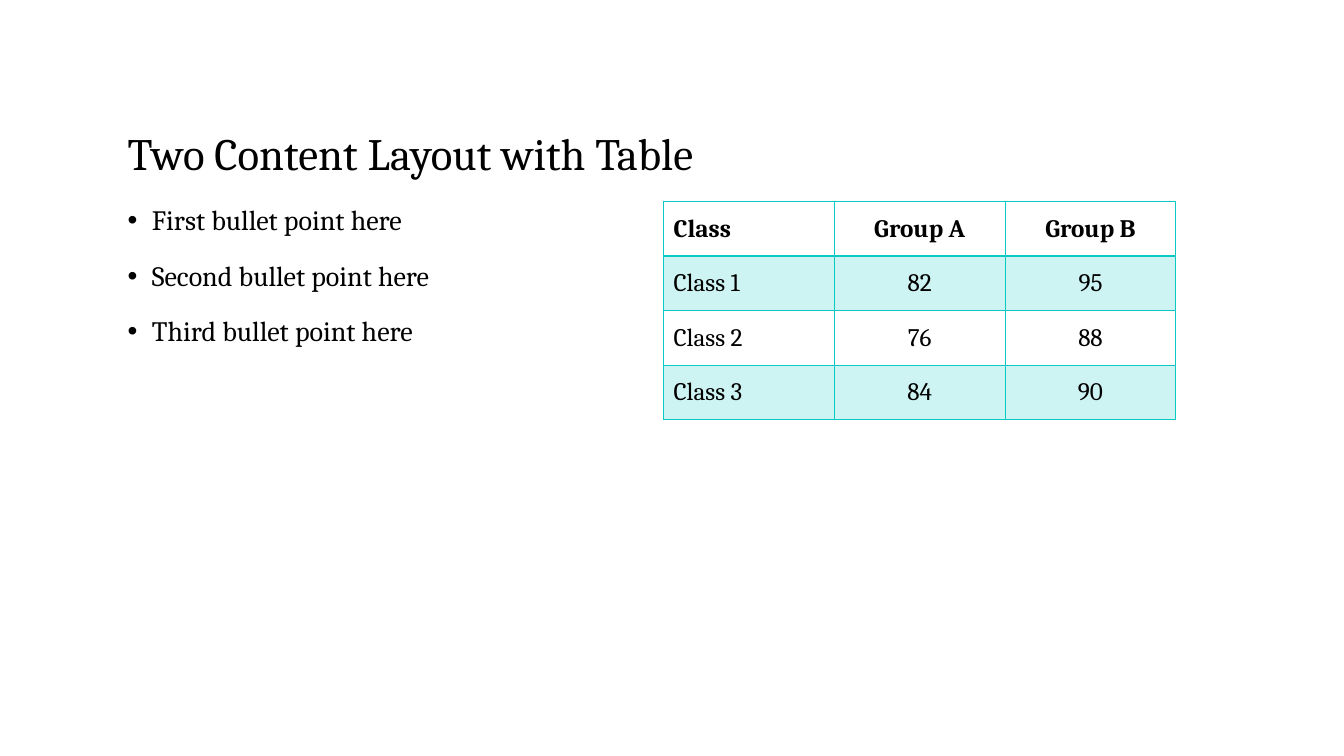
from dataclasses import dataclass

import lxml.etree
import pptx
import pptx.dml.color
import pptx.enum.text
import pptx.oxml.ns
import pptx.util

ALIGN = pptx.enum.text.PP_ALIGN
ANCHOR = pptx.enum.text.MSO_ANCHOR


@dataclass(frozen=True)
class Theme:
    font: str = "Cambria"
    ink: str = "000000"
    paper: str = "FFFFFF"
    accent: str = "08CAC1"
    band_alpha: int = 20
    title_size: int = 32
    bullet_size: int = 20
    cell_size: int = 18
    rule: int = 1
    header_rule: int = 2
    line_spacing: float = 0.9
    bullet_gap: int = 18
    bullet_indent: float = 0.24


class SlideBuilder:
    COLUMNS, ROWS = 160, 90

    def __init__(self, deck, theme):
        self.theme = theme
        self.column = deck.slide_width / self.COLUMNS
        self.row = deck.slide_height / self.ROWS
        self.slide = deck.slides.add_slide(deck.slide_layouts[1])
        self.slide.background.fill.solid()
        self.slide.background.fill.fore_color.rgb = self.color(theme.paper)

    def color(self, value):
        return pptx.dml.color.RGBColor.from_string(value)

    def area(self, column, row, columns, rows):
        return (round(column * self.column), round(row * self.row),
                round(columns * self.column), round(rows * self.row))

    def xml(self, parent, tag, **attributes):
        return lxml.etree.SubElement(parent, pptx.oxml.ns.qn(tag), attributes)

    def style(self, paragraph, size, align, bold=False):
        paragraph.alignment = align
        for run in paragraph.runs:
            run.font.name = self.theme.font
            run.font.size = pptx.util.Pt(size)
            run.font.bold = bold
            run.font.color.rgb = self.color(self.theme.ink)

    def fill_placeholder(self, holder, text, area, anchor, size):
        holder.left, holder.top, holder.width, holder.height = self.area(*area)
        frame = holder.text_frame
        frame.text = text
        frame.word_wrap = True
        frame.auto_size = pptx.enum.text.MSO_AUTO_SIZE.NONE
        frame.vertical_anchor = anchor
        for paragraph in frame.paragraphs:
            paragraph.line_spacing = self.theme.line_spacing
            self.style(paragraph, size, ALIGN.LEFT)
        return frame.paragraphs

    def title(self, text, area):
        self.fill_placeholder(self.slide.shapes.title, text, area,
                              ANCHOR.BOTTOM, self.theme.title_size)

    def bullets(self, points, area):
        indent = pptx.util.Inches(self.theme.bullet_indent)
        for point in self.fill_placeholder(self.slide.placeholders[1], "\n".join(points),
                                           area, ANCHOR.TOP, self.theme.bullet_size):
            point.space_before = pptx.util.Pt(self.theme.bullet_gap)
            properties = point._p.get_or_add_pPr()
            properties.set("marL", str(indent))
            properties.set("indent", str(-indent))
            self.xml(properties, "a:buFont", typeface="Arial")
            self.xml(properties, "a:buChar", char="•")

    def borders(self, cell, top, bottom):
        properties = cell._tc.get_or_add_tcPr()
        widths = {"L": self.theme.rule, "R": self.theme.rule, "T": top, "B": bottom}
        for side, width in widths.items():
            line = self.xml(properties, f"a:ln{side}", w=str(pptx.util.Pt(width)))
            paint = self.xml(line, "a:solidFill")
            self.xml(paint, "a:srgbClr", val=self.theme.accent)

    def band(self, cell, shaded):
        if not shaded:
            cell.fill.background()
            return
        cell.fill.solid()
        cell.fill.fore_color.rgb = self.color(self.theme.accent)
        tint = cell._tc.tcPr.find(".//" + pptx.oxml.ns.qn("a:solidFill") + "[last()]")
        tint = cell._tc.tcPr.findall(pptx.oxml.ns.qn("a:solidFill"))[0]
        self.xml(tint[0], "a:alpha", val=str(self.theme.band_alpha * 1000))

    def table(self, records, area):
        scores = self.slide.shapes.add_table(
            len(records), len(records[0]), *self.area(*area)).table
        scores.horz_banding = False
        for r, record in enumerate(records):
            top = self.theme.header_rule if r == 1 else self.theme.rule
            bottom = self.theme.header_rule if r == 0 else self.theme.rule
            for c, value in enumerate(record):
                cell = scores.cell(r, c)
                cell.text_frame.text = value
                cell.vertical_anchor = ANCHOR.MIDDLE
                self.style(cell.text_frame.paragraphs[0], self.theme.cell_size,
                           ALIGN.CENTER if c else ALIGN.LEFT, bold=r == 0)
                self.borders(cell, top, bottom)
                self.band(cell, shaded=r % 2 == 1)


def main():
    deck = pptx.Presentation()
    deck.slide_width = pptx.util.Inches(13.33)
    deck.slide_height = pptx.util.Inches(7.5)
    page = SlideBuilder(deck, Theme())
    page.title("Two Content Layout with Table", (14, 7, 126, 15))
    page.bullets(["First bullet point here", "Second bullet point here",
                  "Third bullet point here"], (14, 24, 61, 55))
    page.table([["Class", "Group A", "Group B"],
                ["Class 1", "82", "95"],
                ["Class 2", "76", "88"],
                ["Class 3", "84", "90"]], (79, 24, 61, 26))
    deck.save("out.pptx")


if __name__ == "__main__":
    main()
